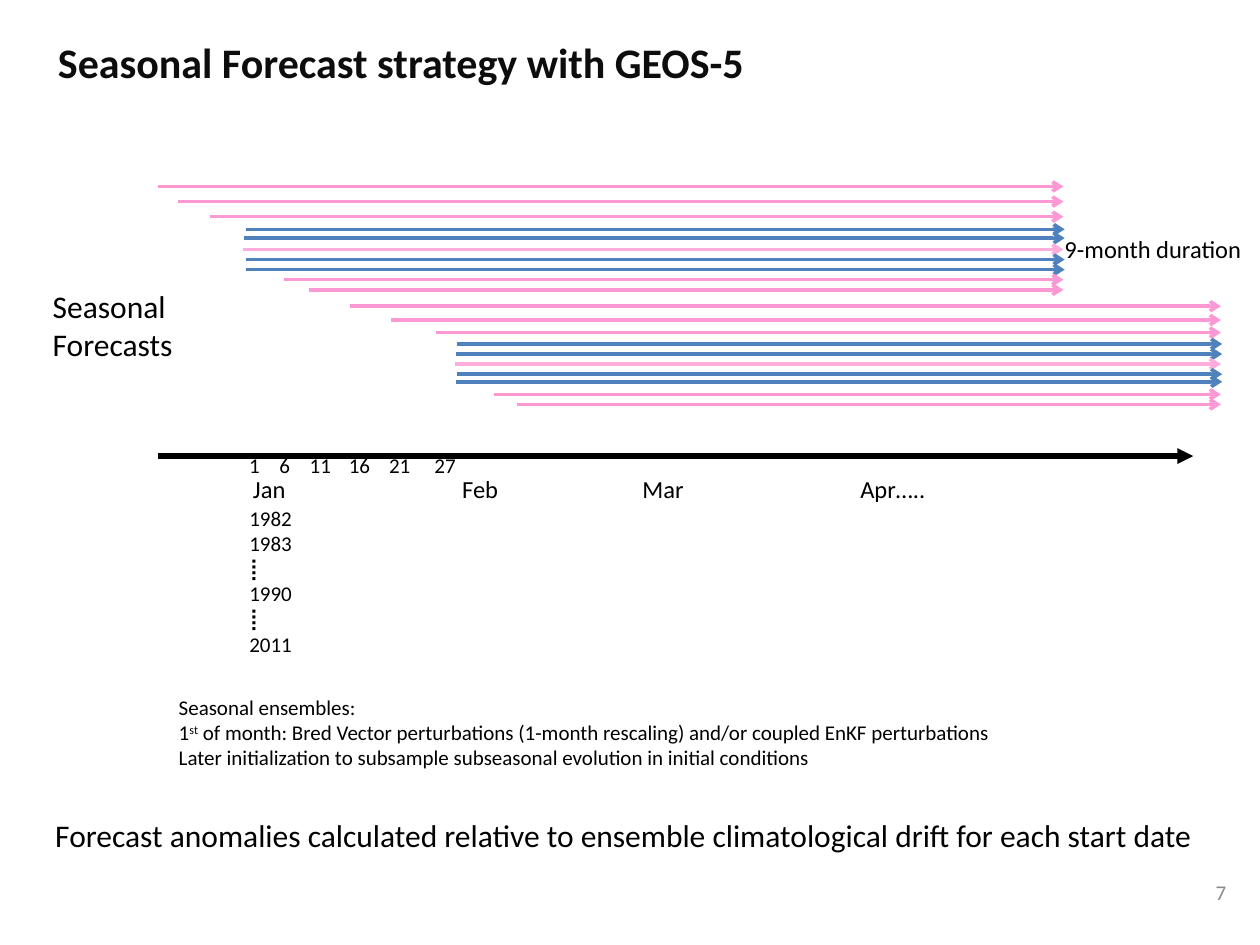
from lxml import etree
from pptx import Presentation
from pptx import util as u
from pptx.dml.color import RGBColor
from pptx.enum import shapes, text
from pptx.oxml.ns import qn

BLACK = RGBColor(0x00, 0x00, 0x00)
TITLE_INK = RGBColor(0x0D, 0x0D, 0x0D)
GREY = RGBColor(0x89, 0x89, 0x89)
BLUE = RGBColor(0x4F, 0x81, 0xBD)
PINK = RGBColor(0xFC, 0x99, 0xD4)
PALE_PINK = RGBColor(0xFD, 0xAC, 0xDB)

COLS, ROWS = 100, 75

# Each forecast bundle runs from early starts through the 1st of the month to late ones.
BUNDLE_COLORS = [PINK] * 3 + [BLUE, BLUE, PALE_PINK, BLUE, BLUE] + [PINK] * 2
# End column, then (start column, row) of every forecast
BUNDLES = [
    (84.4, [(12.5, 14.8), (14.1, 16), (16.7, 17.2), (19.5, 18.2), (19.4, 18.9),
            (19.3, 19.8), (19.5, 20.6), (19.5, 21.4), (22.5, 22.2), (24.5, 23)]),
    (96.9, [(27.8, 24.3), (31, 25.4), (34.6, 26.4), (36.3, 27.3), (36.2, 28.1),
            (36.1, 28.9), (36.3, 29.7), (36.2, 30.3), (39.2, 31.3), (41, 32.1)]),
]


class Deck:
    """Style and current slide; lengths are in grid columns and rows."""

    font = "Calibri"

    def __init__(self):
        self.prs = Presentation()
        self.prs.slide_width, self.prs.slide_height = u.Inches(10), u.Inches(7.5)
        self.s = self.prs.slides.add_slide(self.prs.slide_layouts[5])

    def x(self, cols):
        return round(self.prs.slide_width * cols / COLS)

    def y(self, rows):
        return round(self.prs.slide_height * rows / ROWS)

    def box(self, left, top, width, height):
        return self.x(left), self.y(top), self.x(width), self.y(height)

    def run(self, p, words, size, color=BLACK, bold=False, superscript=False):
        r = p.add_run()
        r.text = words
        r.font.name, r.font.size, r.font.bold = self.font, u.Pt(size), bold
        r.font.color.rgb = color
        if superscript:
            r.font._element.set("baseline", "30000")

    def title(self, at, words, size):
        sp = self.s.shapes.title
        sp.left, sp.top, sp.width, sp.height = self.box(*at)
        tf = sp.text_frame
        tf.auto_size = text.MSO_AUTO_SIZE.NONE
        tf.vertical_anchor = text.MSO_ANCHOR.MIDDLE
        p = tf.paragraphs[0]
        p.alignment, p.line_spacing = text.PP_ALIGN.LEFT, 0.85
        self.run(p, words, size, TITLE_INK, bold=True)

    def text(self, at, lines, size, color=BLACK, align=text.PP_ALIGN.LEFT,
             anchor=text.MSO_ANCHOR.TOP):
        """Add one paragraph per line; a tuple alternates normal and superscript runs."""
        tf = self.s.shapes.add_textbox(*self.box(*at)).text_frame
        tf.word_wrap, tf.vertical_anchor = True, anchor
        for i, line in enumerate(lines):
            p = tf.add_paragraph() if i else tf.paragraphs[0]
            p.alignment = align
            parts = line if isinstance(line, tuple) else (line,)
            for j, words in enumerate(parts):
                self.run(p, words, size, color, superscript=j % 2 == 1)
        return tf

    def scale(self, at, labels, stops, size):
        """Set axis labels on one line, each after the first at its tab stop."""
        p = self.text(at, ["\t".join(labels)], size).paragraphs[0]
        tabs = etree.SubElement(p._p.get_or_add_pPr(), qn("a:tabLst"))
        for stop in stops:
            etree.SubElement(tabs, qn("a:tab"), pos=str(self.x(stop)), algn="l")

    def arrow(self, start, end, row, color, width=2, head="arrow"):
        cx = self.s.shapes.add_connector(
            shapes.MSO_CONNECTOR.STRAIGHT,
            self.x(start), self.y(row), self.x(end), self.y(row))
        cx.line.color.rgb, cx.line.width = color, u.Pt(width)
        etree.SubElement(cx.line._get_or_add_ln(), qn("a:tailEnd"), type=head)
        etree.SubElement(cx._element.spPr, qn("a:effectLst"))


def main():
    deck = Deck()
    deck.title((3.6, 0.6, 74.8, 9.3), "Seasonal Forecast strategy with GEOS-5", 24)

    deck.arrow(12.5, 94.7, 36.2, BLACK, width=3, head="triangle")
    deck.scale((18.8, 35.4, 18.6, 3), ["1", "6", "11", "16", "21", "27"],
               [2.4, 4.8, 7.9, 11.1, 14.7], 12)
    deck.scale((19.1, 37.1, 56, 3.4), ["Jan", "Feb", "Mar", "Apr….."],
               [16.6, 30.9, 48.2], 14)
    deck.text((18.8, 39.6, 16.1, 13.3), ["1982", "1983", "⡇", "1990", "⡇", "2011"], 12)

    for end, starts in BUNDLES:
        for (start, row), color in zip(starts, BUNDLE_COLORS):
            deck.arrow(start, end + 0.1 * (color == BLUE), row, color)
    deck.text((3.2, 22.3, 17.4, 7.1), ["Seasonal Forecasts"], 18)
    deck.text((83.5, 18.1, 17.3, 3.4), ["9-month duration"], 14)

    deck.text((13.2, 54.6, 73.8, 7.2), [
        "Seasonal ensembles:",
        ("1", "st", " of month: Bred Vector perturbations (1-month rescaling)"
                    " and/or coupled EnKF perturbations"),
        "Later initialization to subsample subseasonal evolution in initial conditions",
    ], 12)
    deck.text((3.4, 64.3, 93.7, 4), [
        "Forecast anomalies calculated relative to ensemble climatological drift"
        " for each start date"], 18)
    deck.text((77.5, 68.3, 20.8, 5), ["7"], 12, GREY,
              text.PP_ALIGN.RIGHT, text.MSO_ANCHOR.MIDDLE)

    deck.prs.save("out.pptx")


if __name__ == "__main__":
    main()
